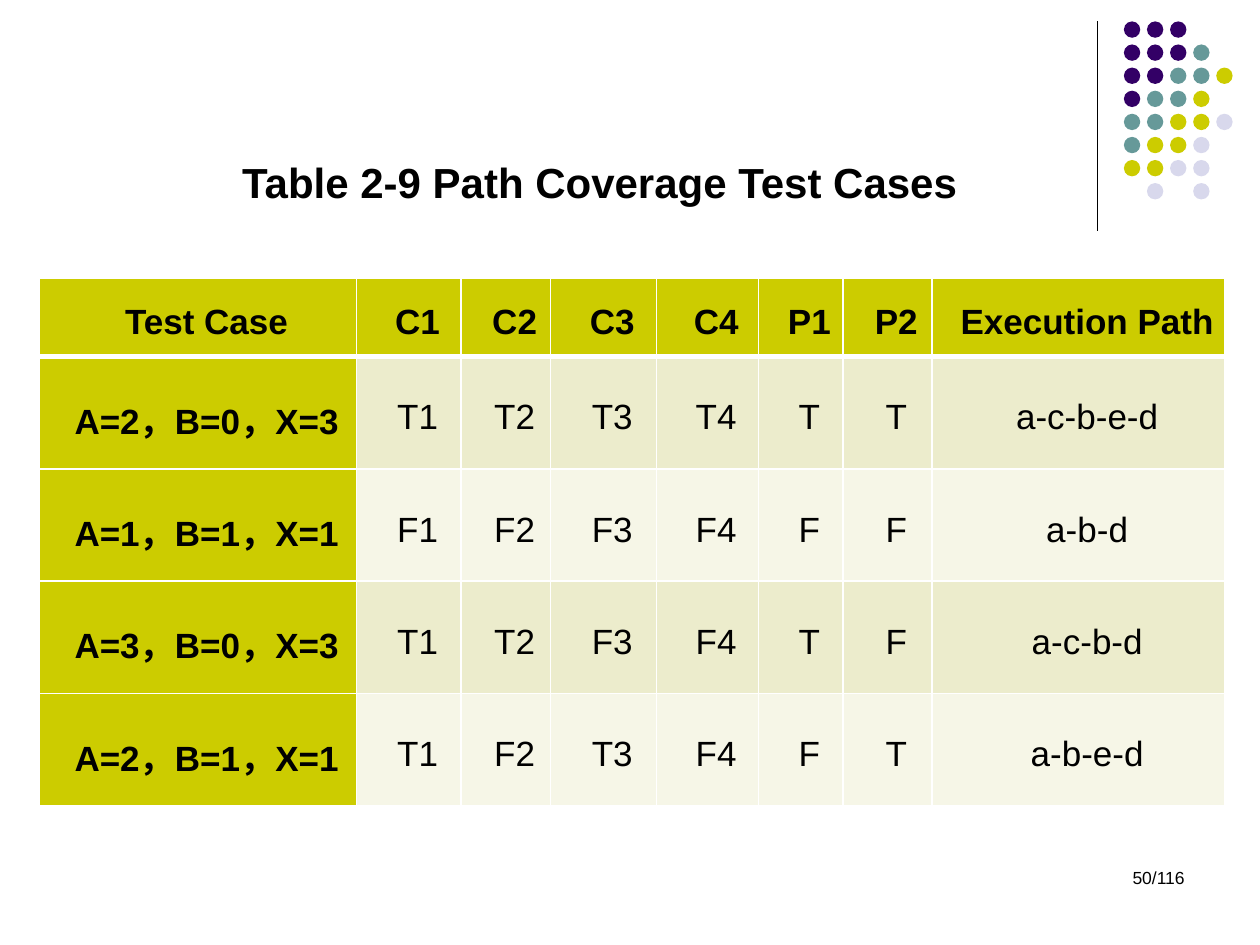
from lxml.etree import SubElement
from pptx import Presentation
from pptx.dml.color import RGBColor
from pptx.enum.shapes import MSO_CONNECTOR, MSO_SHAPE
from pptx.enum.text import MSO_ANCHOR, PP_ALIGN
from pptx.oxml.ns import qn
from pptx.util import Inches, Pt

BLACK = RGBColor(0x00, 0x00, 0x00)
WHITE = RGBColor(0xFF, 0xFF, 0xFF)
PURPLE = RGBColor(0x33, 0x00, 0x66)
TEAL = RGBColor(0x66, 0x99, 0x99)
LIME = RGBColor(0xCC, 0xCC, 0x00)
LILAC = RGBColor(0xD8, 0xD8, 0xEC)
SAND = RGBColor(0xEC, 0xEC, 0xCC)
CREAM = RGBColor(0xF6, 0xF6, 0xE7)

# The page is a grid of 1000 columns by 750 rows.
COLS, ROWS = 1000, 750
UNIT = Inches(10) / COLS

INKS = {"P": PURPLE, "T": TEAL, "L": LIME, "G": LILAC}
DOTS = ["PPP", "PPPT", "PPTTL", "PTTL", "TTLLG", "TLLG", "LLGG", " G G"]
DOT, STEP = 13, 55 / 3

WIDTHS = [252, 83, 71, 84, 81, 67, 71, 232]
CASES = [
    ["Test Case", "C1", "C2", "C3", "C4", "P1", "P2", "Execution Path"],
    ["A=2，B=0，X=3", "T1", "T2", "T3", "T4", "T", "T", "a-c-b-e-d"],
    ["A=1，B=1，X=1", "F1", "F2", "F3", "F4", "F", "F", "a-b-d"],
    ["A=3，B=0，X=3", "T1", "T2", "F3", "F4", "T", "F", "a-c-b-d"],
    ["A=2，B=1，X=1", "T1", "F2", "T3", "F4", "F", "T", "a-b-e-d"],
]


def grid(*cells):
    """Turn counts of grid columns or rows into lengths."""
    return [round(cell * UNIT) for cell in cells]


def style(para, size, align, bold=False):
    para.alignment = align
    for run in para.runs:
        font = run.font
        font.name, font.size, font.bold = "Arial", Pt(size), bold
        font.color.rgb = BLACK


def add_text(slide, box, text, size, align, bold=False):
    frame = slide.shapes.add_textbox(*grid(*box)).text_frame
    frame.word_wrap = True
    frame.text = text
    style(frame.paragraphs[0], size, align, bold)


def add_rule(slide, ends):
    rule = slide.shapes.add_connector(MSO_CONNECTOR.STRAIGHT, *grid(*ends))
    rule.line.color.rgb = BLACK
    rule.line.width = Pt(0.75)
    SubElement(rule._element.spPr, qn("a:effectLst"))


def add_dots(slide, left, top):
    group = slide.shapes.add_group_shape()
    for row, line in enumerate(DOTS):
        for col, key in enumerate(line):
            if key == " ":
                continue
            box = grid(left + col * STEP, top + row * STEP, DOT, DOT)
            dot = group.shapes.add_shape(MSO_SHAPE.OVAL, *box)
            dot.shadow.inherit = False
            dot.fill.solid()
            dot.fill.fore_color.rgb = INKS[key]
            dot.line.fill.background()


def add_edge(cell, side, width):
    """Draw one white border; call before the cell is filled."""
    props = cell._tc.get_or_add_tcPr()
    edge = SubElement(props, qn(f"a:ln{side}"), w=str(Pt(width)))
    fill = SubElement(edge, qn("a:solidFill"))
    SubElement(fill, qn("a:srgbClr"), val=str(WHITE))


def fill_cell(cell, text, row, col):
    head = row == 0
    add_edge(cell, "L", 1)
    add_edge(cell, "R", 1)
    if head:
        add_edge(cell, "T", 1)
    add_edge(cell, "B", 3 if head else 1)
    cell.fill.solid()
    band = SAND if row % 2 else CREAM
    cell.fill.fore_color.rgb = LIME if head or col == 0 else band
    cell.vertical_anchor = MSO_ANCHOR.MIDDLE
    cell.margin_left, cell.margin_right = grid(7, 7)
    cell.margin_top = cell.margin_bottom = 0
    cell.text_frame.text = text
    para = cell.text_frame.paragraphs[0]
    style(para, 20, PP_ALIGN.CENTER, head or col == 0)
    para.line_spacing = 1.25
    para.space_before = Pt(6)
    props = para._p.get_or_add_pPr()
    props.set("marL", "0")
    props.set("indent", str(grid(14)[0]))


def add_cases(slide, left, top, high):
    box = grid(left, top, sum(WIDTHS), high * len(CASES))
    table = slide.shapes.add_table(len(CASES), len(WIDTHS), *box).table
    table.first_col = True
    for col, width in zip(table.columns, grid(*WIDTHS)):
        col.width = width
    for row, texts in enumerate(CASES):
        table.rows[row].height = grid(high)[0]
        for col, text in enumerate(texts):
            fill_cell(table.cell(row, col), text, row, col)


def main():
    deck = Presentation()
    deck.slide_width, deck.slide_height = grid(COLS, ROWS)
    slide = deck.slides.add_slide(deck.slide_layouts[6])
    add_rule(slide, (871, 17, 871, 183))
    add_dots(slide, 892, 17)
    add_cases(slide, 31, 221, 62)
    add_text(slide, (157, 119, 638, 50), "Table 2-9 Path Coverage Test Cases",
             24, PP_ALIGN.CENTER, True)
    add_text(slide, (717, 683, 233, 50), "50/116", 10, PP_ALIGN.RIGHT)
    deck.save("out.pptx")


if __name__ == "__main__":
    main()
